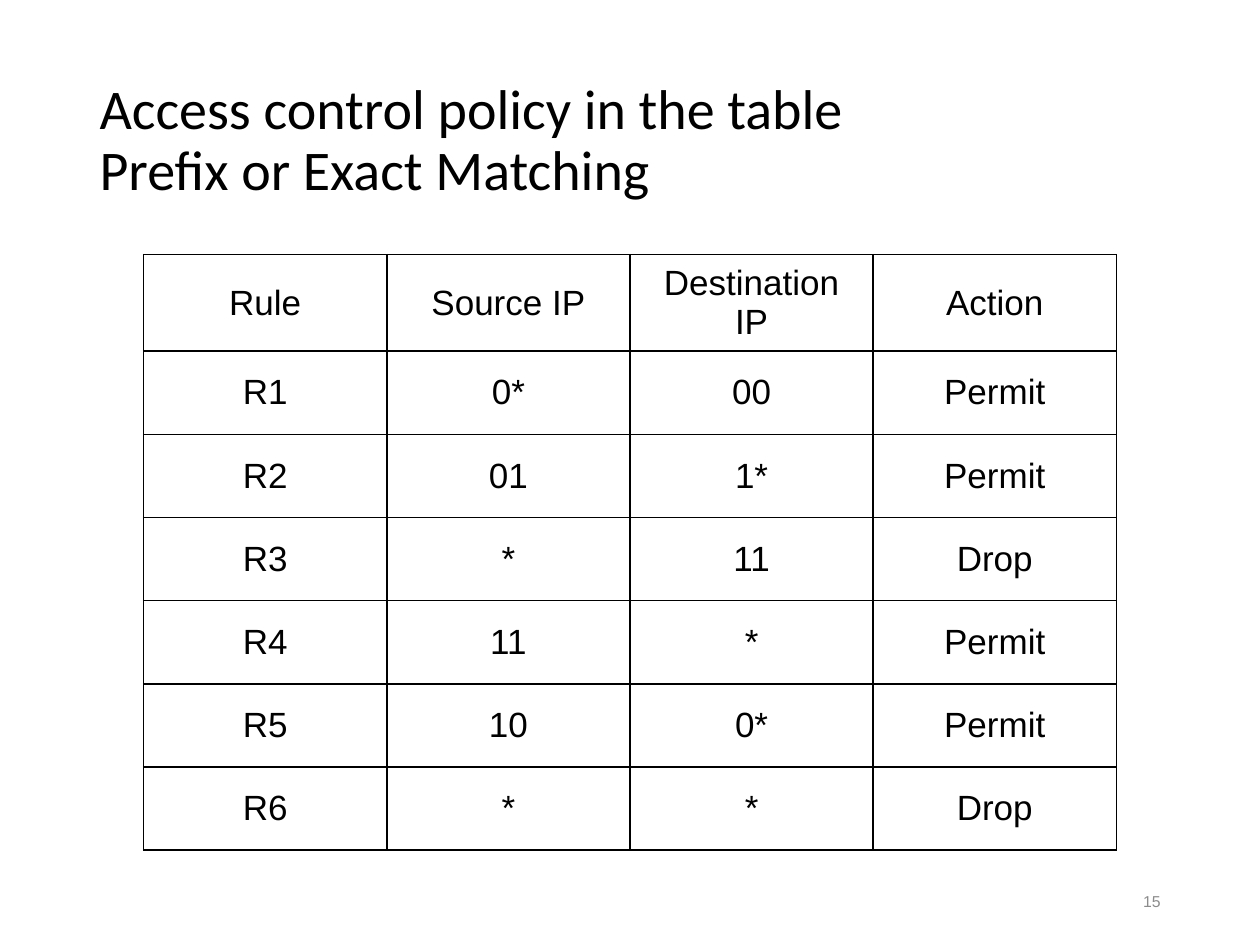
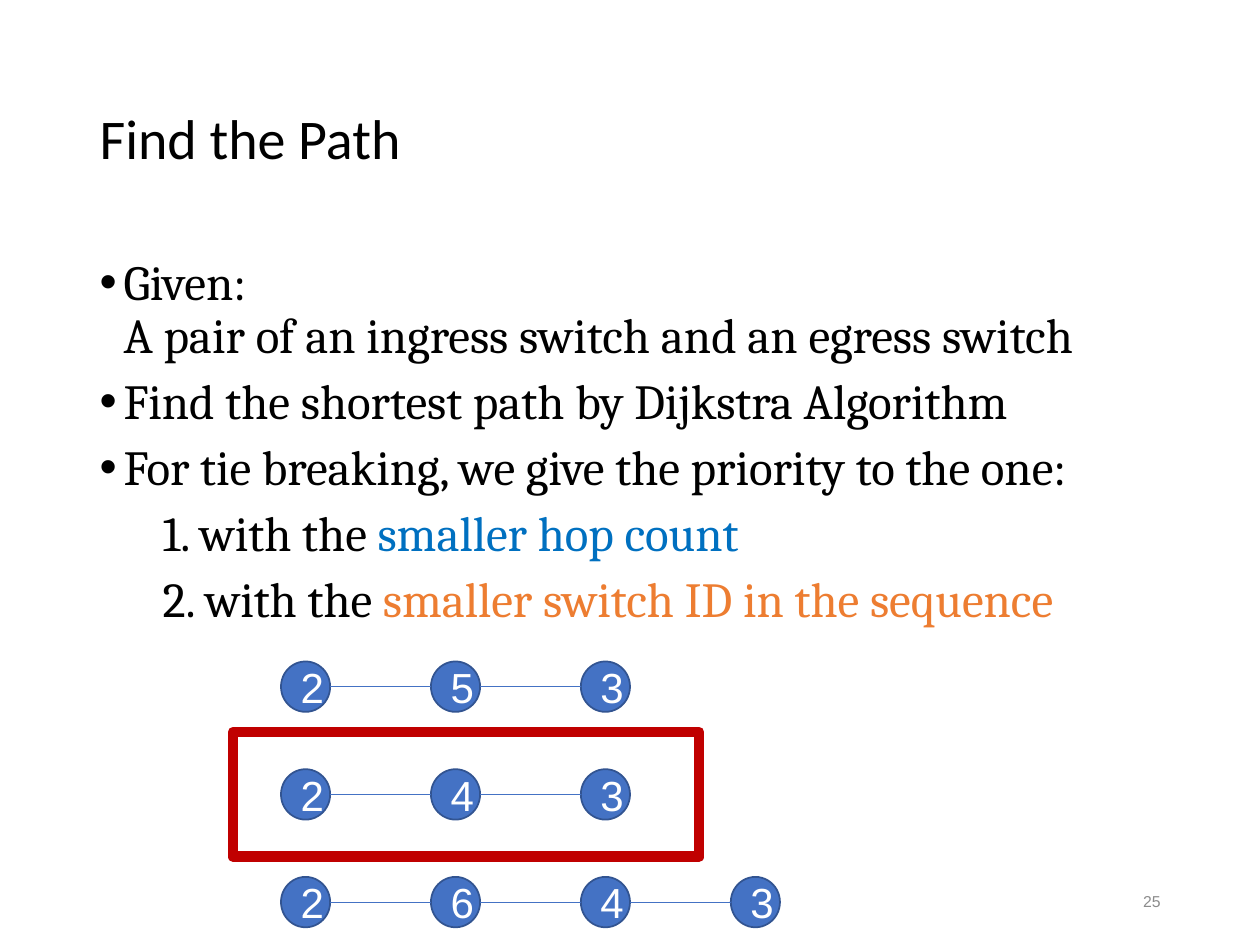
from itertools import pairwise

from lxml.etree import SubElement
from pptx import Presentation
from pptx.dml.color import RGBColor
from pptx.enum.shapes import MSO_CONNECTOR as Connector
from pptx.enum.shapes import MSO_SHAPE as Shape
from pptx.enum.text import MSO_ANCHOR as Anchor
from pptx.enum.text import MSO_AUTO_SIZE as AutoSize
from pptx.enum.text import PP_ALIGN as Align
from pptx.oxml import parse_xml
from pptx.oxml.ns import nsdecls, qn
from pptx.util import Inches, Pt

BLACK = RGBColor(0x00, 0x00, 0x00)
WHITE = RGBColor(0xFF, 0xFF, 0xFF)
GRAY = RGBColor(0x8C, 0x8C, 0x8C)
BLUE = RGBColor(0x44, 0x72, 0xC4)
DARK_BLUE = RGBColor(0x32, 0x54, 0x91)
TEXT_BLUE = RGBColor(0x00, 0x70, 0xC0)
ORANGE = RGBColor(0xED, 0x7D, 0x31)
RED = RGBColor(0xC0, 0x00, 0x00)

TITLE_FONT, BODY_FONT, PLAIN_FONT = "Calibri", "Cambria", "Arial"
TITLE_ONLY, TITLE_AND_BODY = 5, 1

RULES = [
    ("Rule", "Source IP", "Destination IP", "Action"),
    ("R1", "0*", "00", "Permit"),
    ("R2", "01", "1*", "Permit"),
    ("R3", "*", "11", "Drop"),
    ("R4", "11", "*", "Permit"),
    ("R5", "10", "0*", "Permit"),
    ("R6", "*", "*", "Drop"),
]

# Each paragraph: bulleted or not, then its (text, colour) spans
STEPS = [
    (True, [("Given:\nA pair of an ingress switch and an egress switch", BLACK)]),
    (True, [("Find the shortest path by Dijkstra Algorithm", BLACK)]),
    (True, [("For tie breaking, we give the priority to the one:", BLACK)]),
    (False, [("\t1. with the ", BLACK), ("smaller hop count", TEXT_BLUE)]),
    (False, [("\t2. with the ", BLACK),
             ("smaller switch ID in the sequence", ORANGE)]),
]

SWITCH_PATHS = ["253", "243", "2643"]
SWITCH_LEFT, SWITCH_TOP = 2.23, 5.25
SWITCH_WIDTH, SWITCH_HEIGHT = 0.39, 0.4
SWITCH_STEP, PATH_STEP = 1.19, 0.855


def place(item, left, top, width, height):
    item.left, item.top = Inches(left), Inches(top)
    item.width, item.height = Inches(width), Inches(height)


def add_text(para, text, font, size, color):
    """Add text as runs, with a line break at each newline."""
    for index, line in enumerate(text.split("\n")):
        if index:
            para.add_line_break()
        span = para.add_run()
        span.text = line
        span.font.name = font
        span.font.size = Pt(size)
        span.font.color.rgb = color


def add_page(deck, layout, title, number):
    page = deck.slides.add_slide(deck.slide_layouts[layout])
    heading = page.shapes.title
    place(heading, 0.69, 0.4, 8.62, 1.45)
    frame = heading.text_frame
    frame.auto_size = AutoSize.NONE
    frame.vertical_anchor = Anchor.MIDDLE
    para = frame.paragraphs[0]
    para.alignment = Align.LEFT
    para.line_spacing = 0.9
    add_text(para, title, TITLE_FONT, 32, BLACK)

    box = page.shapes.add_textbox(
        Inches(7.06), Inches(6.95), Inches(2.25), Inches(0.4))
    box.text_frame.word_wrap = True
    box.text_frame.vertical_anchor = Anchor.MIDDLE
    para = box.text_frame.paragraphs[0]
    para.alignment = Align.RIGHT
    add_text(para, str(number), PLAIN_FONT, 9, GRAY)
    return page


def add_borders(cell):
    properties = cell._tc.get_or_add_tcPr()
    for index, side in enumerate("LRTB"):
        properties.insert(index, parse_xml(
            f'<a:ln{side} {nsdecls("a")} w="{Pt(1)}"><a:solidFill>'
            f'<a:srgbClr val="{BLACK}"/></a:solidFill></a:ln{side}>'))


def add_rule_table(page, rows):
    row_count, column_count = len(rows), len(rows[0])
    table = page.shapes.add_table(
        row_count, column_count, Inches(1.14), Inches(2.02),
        Inches(1.93 * column_count), Inches(0.66 * row_count)).table
    table.first_row = table.horz_banding = False
    for row, texts in enumerate(rows):
        for column, text in enumerate(texts):
            cell = table.cell(row, column)
            cell.fill.background()
            cell.vertical_anchor = Anchor.MIDDLE
            add_borders(cell)
            para = cell.text_frame.paragraphs[0]
            para.alignment = Align.CENTER
            add_text(para, text, PLAIN_FONT, 20, BLACK)


def set_indent(para, bulleted):
    """Give a hanging bullet, or no bullet and one tab stop."""
    properties = para._p.get_or_add_pPr()
    hang = Inches(0.19) if bulleted else 0
    properties.set("marL", str(hang))
    properties.set("indent", str(-hang))
    if bulleted:
        SubElement(properties, qn("a:buFont"), typeface=PLAIN_FONT)
        SubElement(properties, qn("a:buChar"), char="•")
    else:
        SubElement(properties, qn("a:buNone"))
        stops = SubElement(properties, qn("a:tabLst"))
        SubElement(stops, qn("a:tab"), pos=str(Inches(0.75)), algn="l")


def fill_body(page, steps):
    body = page.placeholders[1]
    place(body, 0.69, 2, 8.62, 4.76)
    frame = body.text_frame
    frame.auto_size = AutoSize.NONE
    for index, (bulleted, spans) in enumerate(steps):
        para = frame.add_paragraph() if index else frame.paragraphs[0]
        set_indent(para, bulleted)
        para.line_spacing = 0.9
        para.space_before = Pt(7.5 if index else 0)
        for text, color in spans:
            add_text(para, text, BODY_FONT, 28, color)


def add_switch(page, left, top, label):
    switch = page.shapes.add_shape(
        Shape.OVAL, Inches(left), Inches(top),
        Inches(SWITCH_WIDTH), Inches(SWITCH_HEIGHT))
    switch.shadow.inherit = False
    switch.fill.solid()
    switch.fill.fore_color.rgb = BLUE
    switch.line.color.rgb = DARK_BLUE
    switch.line.width = Pt(1)
    switch.text_frame.vertical_anchor = Anchor.MIDDLE
    para = switch.text_frame.paragraphs[0]
    para.alignment = Align.CENTER
    add_text(para, label, PLAIN_FONT, 24, WHITE)


def add_link(page, start, end, height):
    link = page.shapes.add_connector(
        Connector.STRAIGHT, Inches(start), Inches(height),
        Inches(end), Inches(height))
    link.line.color.rgb = BLUE
    link.line.width = Pt(0.5)
    SubElement(link._element.spPr, qn("a:effectLst"))


def add_switch_path(page, top, labels):
    lefts = [SWITCH_LEFT + SWITCH_STEP * index for index in range(len(labels))]
    for left, label in zip(lefts, labels):
        add_switch(page, left, top, label)
    for left, next_left in pairwise(lefts):
        add_link(page, left + SWITCH_WIDTH, next_left, top + SWITCH_HEIGHT / 2)


def add_highlight(page):
    frame = page.shapes.add_shape(
        Shape.RECTANGLE, Inches(1.85), Inches(5.81), Inches(3.7), Inches(0.99))
    frame.shadow.inherit = False
    frame.fill.background()
    frame.line.color.rgb = RED
    frame.line.width = Pt(6)


def main():
    deck = Presentation()
    deck.slide_width, deck.slide_height = Inches(10), Inches(7.5)

    page = add_page(
        deck, TITLE_ONLY,
        "Access control policy in the table\nPrefix or Exact Matching", 15)
    add_rule_table(page, RULES)

    page = add_page(deck, TITLE_AND_BODY, "Find the Path", 25)
    fill_body(page, STEPS)
    for index, labels in enumerate(SWITCH_PATHS):
        add_switch_path(page, SWITCH_TOP + PATH_STEP * index, labels)
    add_highlight(page)

    deck.save("out.pptx")


if __name__ == "__main__":
    main()
